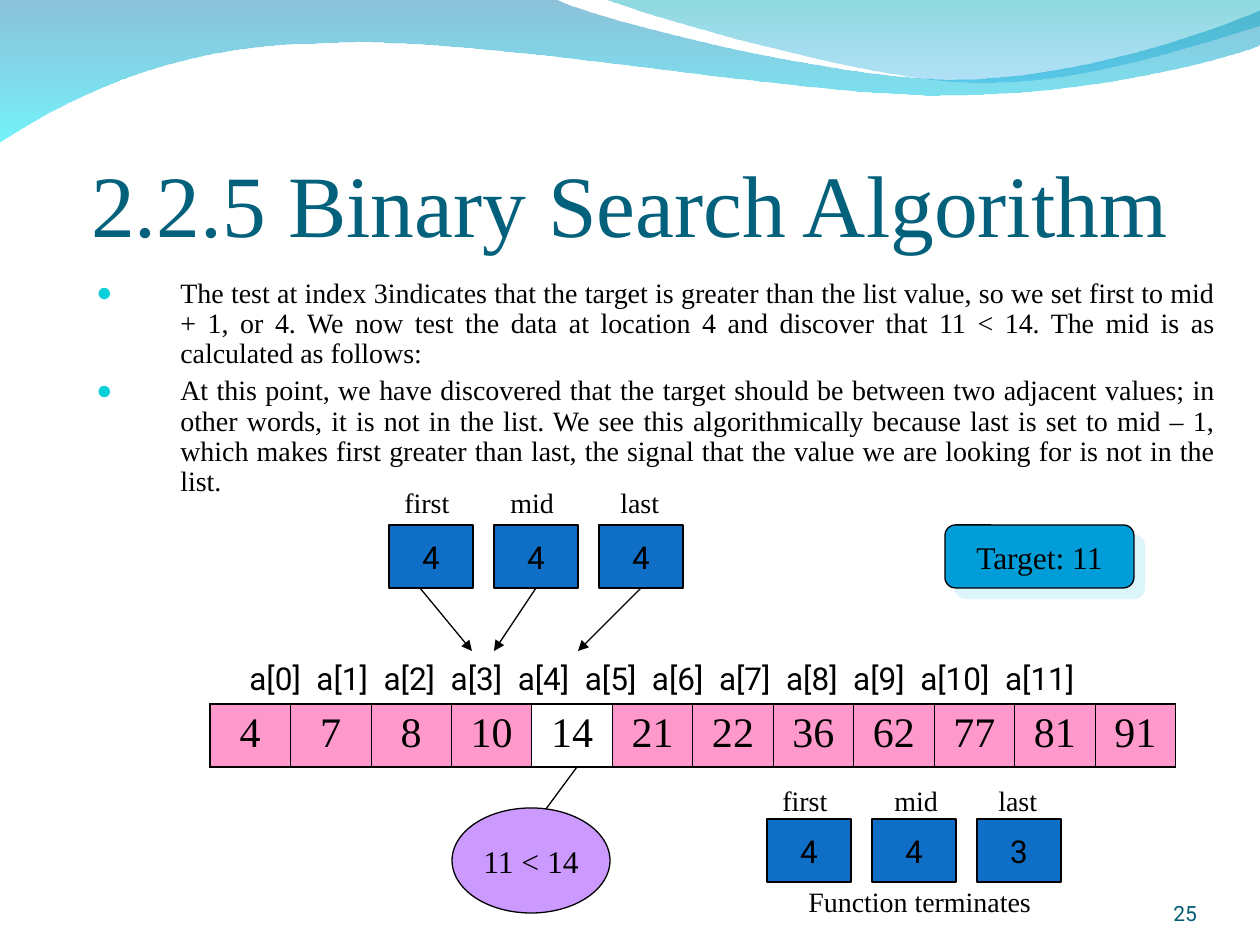
from lxml.etree import SubElement
from pptx import Presentation
from pptx.dml.color import RGBColor
from pptx.enum.shapes import MSO_CONNECTOR, MSO_SHAPE
from pptx.enum.text import MSO_ANCHOR, MSO_AUTO_SIZE, PP_ALIGN
from pptx.oxml import parse_xml
from pptx.oxml.ns import nsdecls, qn
from pptx.util import Emu, Pt

SCALE = 914400 / 126
SERIF, SANS = "Times New Roman", "Roboto"
BLACK = RGBColor(0, 0, 0)
TITLE = RGBColor(0x04, 0x61, 0x7B)
NUMBER = RGBColor(0x04, 0x5C, 0x75)
BLUE = RGBColor(0x0F, 0x6F, 0xC6)
SKY = RGBColor(0x00, 0x9D, 0xD9)
PINK = RGBColor(0xFF, 0x99, 0xCC)
LILAC = RGBColor(0xCC, 0x99, 0xFF)
BULLET = RGBColor(0x0B, 0xD0, 0xD9)
SHADE = RGBColor(0xDB, 0xF5, 0xF9)
DEEP = RGBColor(0x00, 0x79, 0xAF)
CYAN = RGBColor(0x00, 0xEB, 0xF8)
TEAL = RGBColor(0x00, 0xAD, 0xB6)
AZURE = RGBColor(0x00, 0x9B, 0xE5)

BODY = [
    "The test at index 3indicates that the target is greater than the list value, "
    "so we set first to mid + 1, or 4. We now test the data at location 4 and "
    "discover that 11 < 14. The mid is as calculated as follows:",
    "At this point, we have discovered that the target should be between two adjacent "
    "values; in other words, it is not in the list. We see this algorithmically because "
    "last is set to mid – 1, which makes first greater than last, the signal that the "
    "value we are looking for is not in the list.",
]
VALUES = [4, 7, 8, 10, 14, 21, 22, 36, 62, 77, 81, 91]
WAVES = [
    ([(0, -1), (554, -1), (600, 21, 837, 79, 955, 79), (1075, 79, 1207, 33, 1260, 11),
      (1261, 45), (1239, 55, 1096, 96, 940, 95), (784, 95, 481, 35, 324, 43),
      (163, 44, 58, 105, -1, 142)], [(DEEP, 45), (CYAN, 55)]),
    ([(604, -1), (641, 14, 859, 78, 969, 82), (1079, 87, 1211, 40, 1260, 26),
      (1260, 0)], [(TEAL, 45), (AZURE, 30)]),
]


def px(*sizes):
    return [Emu(round(size * SCALE)) for size in sizes]


def write(frame, text, size=16, face=SERIF, color=BLACK, align=PP_ALIGN.LEFT,
          anchor=MSO_ANCHOR.TOP, wrap=False, inset=None, gap=0, bullet=False,
          grow=False):
    frame.word_wrap = wrap
    frame.vertical_anchor = anchor
    if grow:
        frame.auto_size = MSO_AUTO_SIZE.SHAPE_TO_FIT_TEXT
    if inset:
        (frame.margin_left, frame.margin_top,
         frame.margin_right, frame.margin_bottom) = px(*inset)
    for i, line in enumerate([text] if isinstance(text, str) else text):
        para = frame.add_paragraph() if i else frame.paragraphs[0]
        if bullet:
            mark(para)
        para.alignment = align
        if i and gap:
            para.space_before = Pt(gap)
        run = para.add_run()
        run.text = line
        run.font.size = Pt(size)
        run.font.name = face
        run.font.color.rgb = color


def mark(para):
    props = para._p.get_or_add_pPr()
    indent = px(84)[0]
    props.set("marL", str(indent))
    props.set("indent", str(-indent))
    SubElement(SubElement(props, qn("a:buClr")), qn("a:srgbClr"), val=str(BULLET))
    SubElement(props, qn("a:buSzPct"), val="95000")
    SubElement(props, qn("a:buFont"), typeface=SERIF)
    SubElement(props, qn("a:buChar"), char="●")
    para.line_spacing = 0.9


def label(slide, box, text, **style):
    write(slide.shapes.add_textbox(*px(*box)).text_frame, text, **style)


def block(slide, kind, box, text, fill, face=SERIF):
    shape = slide.shapes.add_shape(kind, *px(*box))
    shape.shadow.inherit = False
    shape.fill.solid()
    shape.fill.fore_color.rgb = fill
    shape.line.color.rgb = BLACK
    shape.line.width = Pt(0.75)
    write(shape.text_frame, text, size=18, face=face, align=PP_ALIGN.CENTER,
          anchor=MSO_ANCHOR.MIDDLE)
    return shape


def line(slide, start, end, source=None, arrow=True):
    link = slide.shapes.add_connector(MSO_CONNECTOR.STRAIGHT, *px(*start, *end))
    if source:
        link.begin_connect(source, 2)
    link.line.color.rgb = BLACK
    link.line.width = Pt(0.75)
    if arrow:
        SubElement(link.line._get_or_add_ln(), qn("a:tailEnd"), type="triangle")
    SubElement(link._element.spPr, qn("a:effectLst"))


def bend(shape, route):
    legs = iter(list(shape._element.iter(qn("a:lnTo"))))
    for part in route[1:]:
        leg = next(legs)
        if len(part) == 6:
            leg.addprevious(curve := parse_xml(f'<a:cubicBezTo {nsdecls("a")}/>'))
            for step in (leg, next(legs), next(legs)):
                curve.append(step[0])
                step.getparent().remove(step)


def wave(slide, route, stops):
    points = [part[i:i + 2] for part in route for i in range(0, len(part), 2)]
    pen = slide.shapes.build_freeform(*px(*points[0]))
    pen.add_line_segments([px(*point) for point in points[1:]], close=True)
    shape = pen.convert_to_shape()
    bend(shape, route)
    shape.shadow.inherit = False
    shape.line.fill.background()
    shape.fill.gradient()
    shape.fill.gradient_angle = 270
    for stop, (color, alpha) in zip(shape.fill.gradient_stops, stops):
        stop.color.rgb = color
        tint = stop._gs.find(qn("a:srgbClr"))
        SubElement(tint, qn("a:alpha"), val=str(alpha * 1000))


def border(cell, first, last):
    props = cell._tc.get_or_add_tcPr()
    sides = {"L": first, "R": last, "T": True, "B": True}
    for i, (side, thick) in enumerate(sides.items()):
        width = Pt(1.08 if thick else 0.45)
        props.insert(i, parse_xml(
            f'<a:ln{side} {nsdecls("a")} w="{width}"><a:solidFill>'
            f'<a:srgbClr val="{BLACK}"/></a:solidFill></a:ln{side}>'))


def array(slide, box, values, active):
    left, top, width, height = box
    table = slide.shapes.add_table(1, len(values), *px(*box)).table
    table.first_row = table.horz_banding = False
    for i, value in enumerate(values):
        table.columns[i].width = px(width / len(values))[0]
        cell = table.cell(0, i)
        if i == active:
            cell.fill.background()
        else:
            cell.fill.solid()
            cell.fill.fore_color.rgb = PINK
        border(cell, i == 0, i == len(values) - 1)
        write(cell.text_frame, str(value), size=24, align=PP_ALIGN.CENTER, wrap=True)
    label(slide, (left + 27, top - 51, 919, 50),
          "  ".join(f"a[{i}]" for i in range(len(values))), size=18, face=SANS,
          grow=True)


def trio(slide, left, top, values, rise, shift):
    heads = [("first", 3, 70), ("mid", shift, 69), ("last", 219, 65)]
    boxes = [block(slide, MSO_SHAPE.RECTANGLE, (left + i * 105, top, 84, 63),
                   str(value), BLUE, face=SANS) for i, value in enumerate(values)]
    for name, move, width in heads:
        label(slide, (left + move, top - rise, width, 47), name, grow=True)
    return boxes


def target(slide, box):
    shape = block(slide, MSO_SHAPE.ROUNDED_RECTANGLE, box, "Target: 11", SKY)
    effects = shape._element.spPr.find(qn("a:effectLst"))
    glow = SubElement(effects, qn("a:outerShdw"), dist=str(Pt(8.5)), dir="2700000",
                      algn="ctr", rotWithShape="0")
    SubElement(glow, qn("a:srgbClr"), val=str(SHADE))


def search(slide, left, top):
    array(slide, (left, top, 966, 63), VALUES, 4)
    boxes = trio(slide, left + 179, top - 179, [4, 4, 4], 46, 109)
    target(slide, (left + 735, top - 179, 189, 63))
    block(slide, MSO_SHAPE.OVAL, (left + 242, top + 104, 158, 105), "11 < 14", LILAC)
    line(slide, (left + 336, top + 105), (left + 367, top + 63), arrow=False)
    ends = [(210, 262, None), (325, 284, boxes[1]), (430, 368, boxes[2])]
    for start, end, source in ends:
        line(slide, (left + start, top - 116), (left + end, top - 53), source)
    trio(slide, left + 557, top + 115, [4, 4, 3], 42, 115)
    label(slide, (left + 586, top + 174, 248, 47), "Function terminates", grow=True)


def main():
    deck = Presentation()
    deck.slide_width, deck.slide_height = px(1260, 945)
    slide = deck.slides.add_slide(deck.slide_layouts[6])
    for route, stops in WAVES:
        wave(slide, route, stops)
    label(slide, (63, 97, 1134, 158), "2.2.5 Binary Search Algorithm", size=50,
          color=TITLE, align=PP_ALIGN.CENTER, anchor=MSO_ANCHOR.BOTTOM, wrap=True,
          inset=(0, 6, 0, 0))
    label(slide, (84, 273, 1144, 567), BODY, align=PP_ALIGN.JUSTIFY, wrap=True,
          gap=4, bullet=True)
    label(slide, (1092, 876, 105, 50), "25", size=12, face=SANS, color=NUMBER,
          align=PP_ALIGN.RIGHT, anchor=MSO_ANCHOR.BOTTOM, wrap=True, inset=(0, 0, 0, 0))
    search(slide, 210, 704)
    deck.save("out.pptx")


if __name__ == "__main__":
    main()
